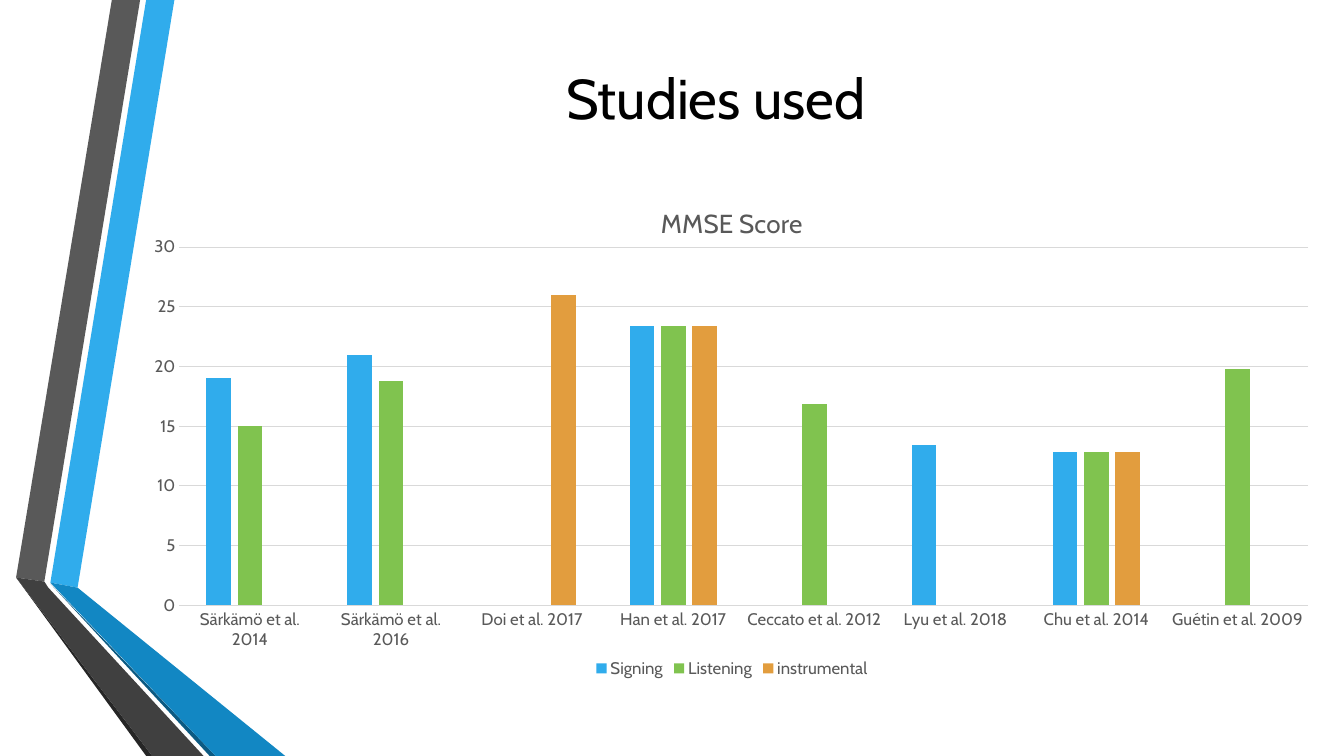
import pptx
import pptx.util
import pptx.chart.data
import pptx.dml.color
import pptx.enum.chart
import pptx.enum.text
import pptx.oxml

Pt, Inch = pptx.util.Pt, pptx.util.Inches
Enum = pptx.enum.chart

FONT = "Cabin"
HUES = {
    "blue": "30ACEC", "green": "80C34F", "orange": "E29D3E",
    "deep": "1287C3", "navy": "0C5A82",
    "gray": "595959", "dark": "404040", "coal": "262626",
    "grid": "D9D9D9", "black": "000000",
}
TITLE = "Studies used"
HEAD = "MMSE Score"
STUDIES = [
    "Särkämö et al. 2014", "Särkämö et al. 2016", "Doi et al. 2017",
    "Han et al. 2017", "Ceccato et al. 2012", "Lyu et al. 2018",
    "Chu et al. 2014", "Guétin et al. 2009",
]
SCORES = [
    ("Signing", "blue", (19, 21, None, 23.4, None, 13.4, 12.8, None)),
    ("Listening", "green", (15, 18.8, None, 23.4, 16.9, None, 12.8, 19.8)),
    ("instrumental", "orange", (None, None, 26, 23.4, None, None, 12.8, None)),
]
BANDS = [
    ("blue", [(50, 578), (77, 583), (173, 0), (145, 0)]),
    ("gray", [(139, 0), (111, 0), (16, 573), (44, 577)]),
    ("coal", [(16, 573), (145, 750), (151, 750)]),
    ("navy", [(50, 579), (208, 750), (214, 750)]),
    ("deep", [(50, 578), (214, 750), (283, 750), (77, 583)]),
    ("dark", [(202, 750), (48, 583), (44, 577), (16, 573), (151, 750)]),
]
AREA = {"x": 0.034, "y": 0.124, "w": 0.952, "h": 0.721}


def hue(name):
    return pptx.dml.color.RGBColor.from_string(HUES[name])


def apply(item, form):
    for key, val in form.items():
        setattr(item, key, val)


def style(font, size, name):
    apply(font, {"name": FONT, "size": Pt(size), "bold": False})
    font.color.rgb = hue(name)


def paint(item, name):
    item.fill.solid()
    item.fill.fore_color.rgb = hue(name)


def rule(line):
    line.width = Pt(0.75)
    line.color.rgb = hue("grid")


deck = pptx.Presentation()
apply(deck, {"slide_width": Inch(13.33), "slide_height": Inch(7.5)})
slide = deck.slides.add_slide(deck.slide_layouts[6])

for name, dots in BANDS:
    pen = slide.shapes.build_freeform(*dots[0], scale=Inch(0.01))
    pen.add_line_segments(dots[1:], close=True)
    band = pen.convert_to_shape()
    paint(band, name)
    band.line.fill.background()
    band.shadow.inherit = False

box = slide.shapes.add_textbox(*map(Inch, (1.62, 0, 10.96, 1.92)))
apply(box.text_frame, {
    "text": TITLE, "word_wrap": True,
    "vertical_anchor": pptx.enum.text.MSO_ANCHOR.MIDDLE,
})
line = box.text_frame.paragraphs[0]
line.alignment = pptx.enum.text.PP_ALIGN.CENTER
style(line.runs[0].font, 40, "black")

data = pptx.chart.data.CategoryChartData()
data.categories = STUDIES
for name, _, vals in SCORES:
    data.add_series(name, vals)
chart = slide.shapes.add_chart(
    Enum.XL_CHART_TYPE.COLUMN_CLUSTERED,
    *map(Inch, (1.38, 1.84, 11.76, 4.93)), data).chart
style(chart.font, 10, "black")
apply(chart, {"has_title": True, "has_legend": True})
head = chart.chart_title.text_frame
head.text = HEAD
style(head.paragraphs[0].runs[0].font, 18.6, "gray")
apply(chart.legend, {
    "position": Enum.XL_LEGEND_POSITION.BOTTOM, "include_in_layout": False})
style(chart.legend.font, 12, "gray")

plot = chart.plots[0]
apply(plot, {"gap_width": 219, "overlap": -27, "vary_by_categories": False})
for bar, (_, name, _) in zip(plot.series, SCORES):
    paint(bar.format, name)
    bar.invert_if_negative = False

cats, vals = chart.category_axis, chart.value_axis
for axis in (cats, vals):
    apply(axis, {
        "major_tick_mark": Enum.XL_TICK_MARK.NONE,
        "minor_tick_mark": Enum.XL_TICK_MARK.NONE,
    })
    style(axis.tick_labels.font, 12, "gray")
apply(vals, {
    "minimum_scale": 0, "maximum_scale": 30, "major_unit": 5,
    "has_major_gridlines": True,
})
rule(cats.format.line)
rule(vals.major_gridlines.format.line)
vals.format.line.fill.background()

node = chart._chartSpace.chart.plotArea
for old in node.findall(pptx.oxml.ns.qn("c:layout")):
    node.remove(old)
tags = "".join(f'<c:{key}Mode val="edge"/>' for key in "xy")
tags += "".join(f'<c:{key} val="{val}"/>' for key, val in AREA.items())
node.insert(0, pptx.oxml.parse_xml(
    f'<c:layout {pptx.oxml.ns.nsdecls("c")}><c:manualLayout>'
    f'<c:layoutTarget val="inner"/>{tags}</c:manualLayout></c:layout>'))

deck.save("out.pptx")
